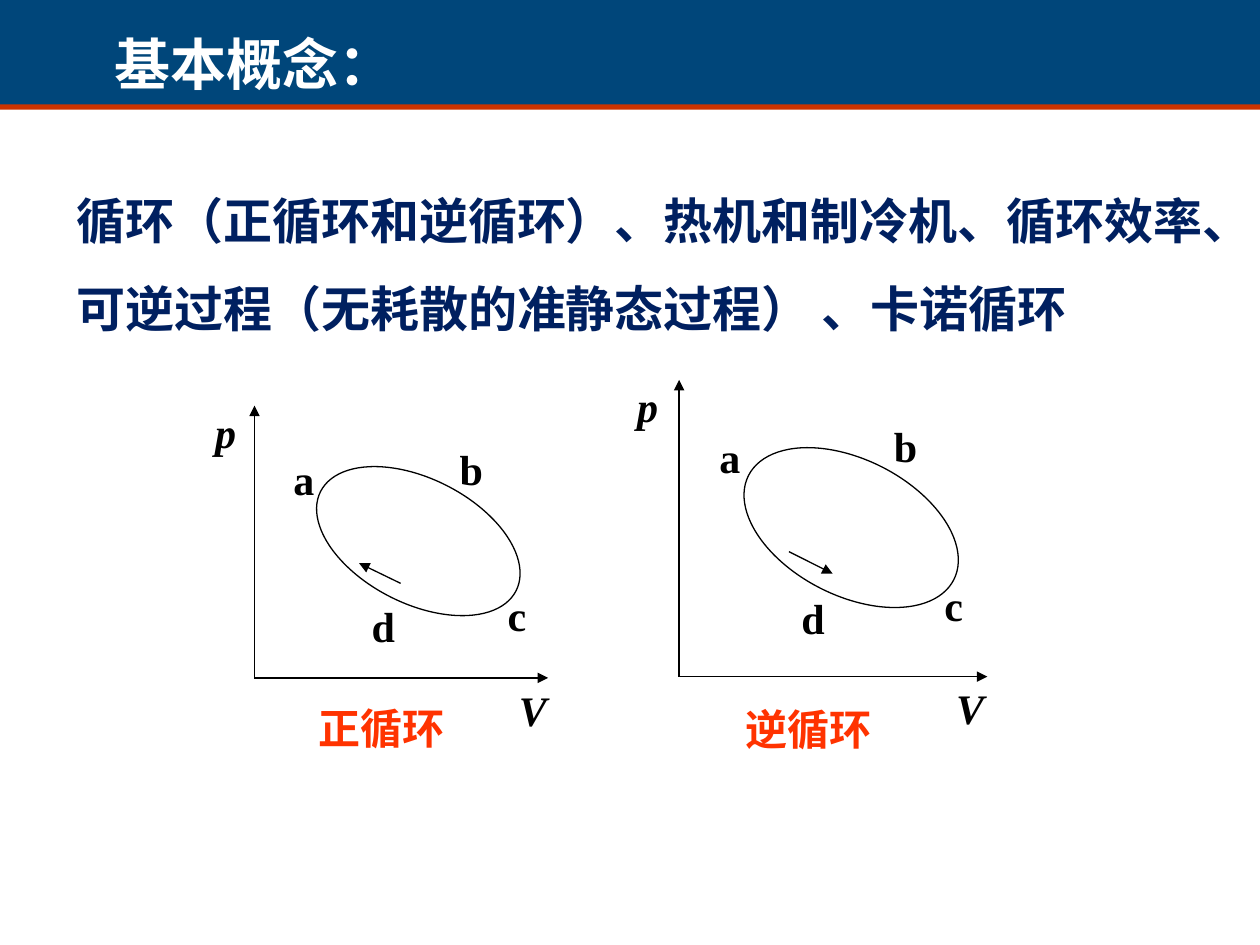
from lxml.etree import SubElement
from pptx import Presentation
from pptx.dml.color import RGBColor
from pptx.enum.shapes import MSO_CONNECTOR as CONNECTOR, MSO_SHAPE as SHAPE
from pptx.enum.text import MSO_ANCHOR as ANCHOR, MSO_AUTO_SIZE as AUTO_SIZE, PP_ALIGN as ALIGN
from pptx.oxml.ns import qn
from pptx.util import Inches, Pt

FONT = "Times New Roman"
LABELS = [
    ("p", -0.41, 2.2, 0.37, True),
    ("V", 2, 0, 0.42, True),
    ("a", 0.21, 1.83, 0.37, False),
    ("b", 1.53, 1.91, 0.39, False),
    ("c", 1.91, 0.75, 0.35, False),
    ("d", 0.83, 0.66, 0.39, False),
]


def rgb(hex_code):
    """Turn a hex string into a colour."""
    return RGBColor.from_string(hex_code)


def format_text(frame, text, size, color, spacing=1.0, italic=False, wrap=True):
    """Fill a text frame with bold, left-aligned text."""
    frame.text = text
    frame.word_wrap = wrap
    frame.auto_size = AUTO_SIZE.NONE
    frame.vertical_anchor = ANCHOR.TOP
    for paragraph in frame.paragraphs:
        paragraph.alignment = ALIGN.LEFT
        paragraph.line_spacing = spacing
        for run in paragraph.runs:
            run.font.name = FONT
            run.font.size = Pt(size)
            run.font.bold = True
            run.font.italic = italic
            run.font.color.rgb = rgb(color)


def add_header(slide, heading):
    """Lay the header band behind the title and set the title."""
    title = slide.shapes.title
    for top, height, color in ((0.79, 0.08, "CC3300"), (0, 0.83, "00467A")):
        band = slide.shapes.add_shape(SHAPE.RECTANGLE, 0, Inches(top), Inches(10), Inches(height))
        band.shadow.inherit = False
        band.fill.solid()
        band.fill.fore_color.rgb = rgb(color)
        band.line.fill.background()
        title._element.addprevious(band._element)
    title.left, title.top = Inches(0.81), Inches(-0.08)
    title.width, title.height = Inches(2.52), Inches(0.81)
    format_text(title.text_frame, heading, 32, "FFFFFF", spacing=1.5)


def add_text(slide, text, left, top, width, height, size, color, **style):
    """Add a text box."""
    box = slide.shapes.add_textbox(Inches(left), Inches(top), Inches(width), Inches(height))
    format_text(box.text_frame, text, size, color, **style)


def add_arrow(slide, start, end):
    """Draw a thin black arrow between two points."""
    arrow = slide.shapes.add_connector(CONNECTOR.STRAIGHT, *map(Inches, (*start, *end)))
    arrow.line.color.rgb = rgb("000000")
    arrow.line.width = Pt(0.75)
    SubElement(arrow.line._get_or_add_ln(), qn("a:tailEnd"), type="triangle")
    SubElement(arrow._element.spPr, qn("a:effectLst"))


def add_loop(slide, left, top, width, height):
    """Draw the tilted closed curve of a cycle."""
    loop = slide.shapes.add_shape(SHAPE.OVAL, *map(Inches, (left, top, width, height)))
    loop.shadow.inherit = False
    loop.rotation = 26.9
    loop.fill.background()
    loop.line.color.rgb = rgb("000000")
    loop.line.width = Pt(0.75)


def add_cycle(slide, caption, origin, scale, reverse=False):
    """Draw a p-V diagram measured rightwards and upwards from its origin."""
    x_scale, y_scale = scale

    def place(x, y):
        return origin[0] + x * x_scale, origin[1] - y * y_scale

    add_arrow(slide, origin, place(2.33, 0))
    add_arrow(slide, origin, place(0, 2.16))
    add_loop(slide, *place(0.43, 1.58), 1.74 * x_scale, 0.99 * y_scale)
    direction = [place(1.16, 0.75), place(0.83, 0.91)]
    if reverse:
        direction.reverse()
    add_arrow(slide, *direction)
    for label, x, y, width, italic in LABELS:
        add_text(slide, label, *place(x, y), width, 0.5, 24, "000000", italic=italic, wrap=False)
    add_text(slide, caption, *place(0.41, -0.15), 1.21, 0.5, 24, "FF3300", wrap=False)


def main():
    """Build and save the slide."""
    deck = Presentation()
    deck.slide_width, deck.slide_height = Inches(10), Inches(7.5)
    slide = deck.slides.add_slide(deck.slide_layouts[5])
    add_header(slide, "基本概念：")
    concepts = "循环（正循环和逆循环）、热机和制冷机、循环效率、\n可逆过程（无耗散的准静态过程） 、卡诺循环"
    add_text(slide, concepts, 0.51, 1.23, 9.29, 1.43, 28, "002060", spacing=1.5)
    add_cycle(slide, "正循环", (2.02, 5.38), (1, 1))
    add_cycle(slide, "逆循环", (5.39, 5.37), (1.05, 1.09), reverse=True)
    deck.save("out.pptx")


if __name__ == "__main__":
    main()
